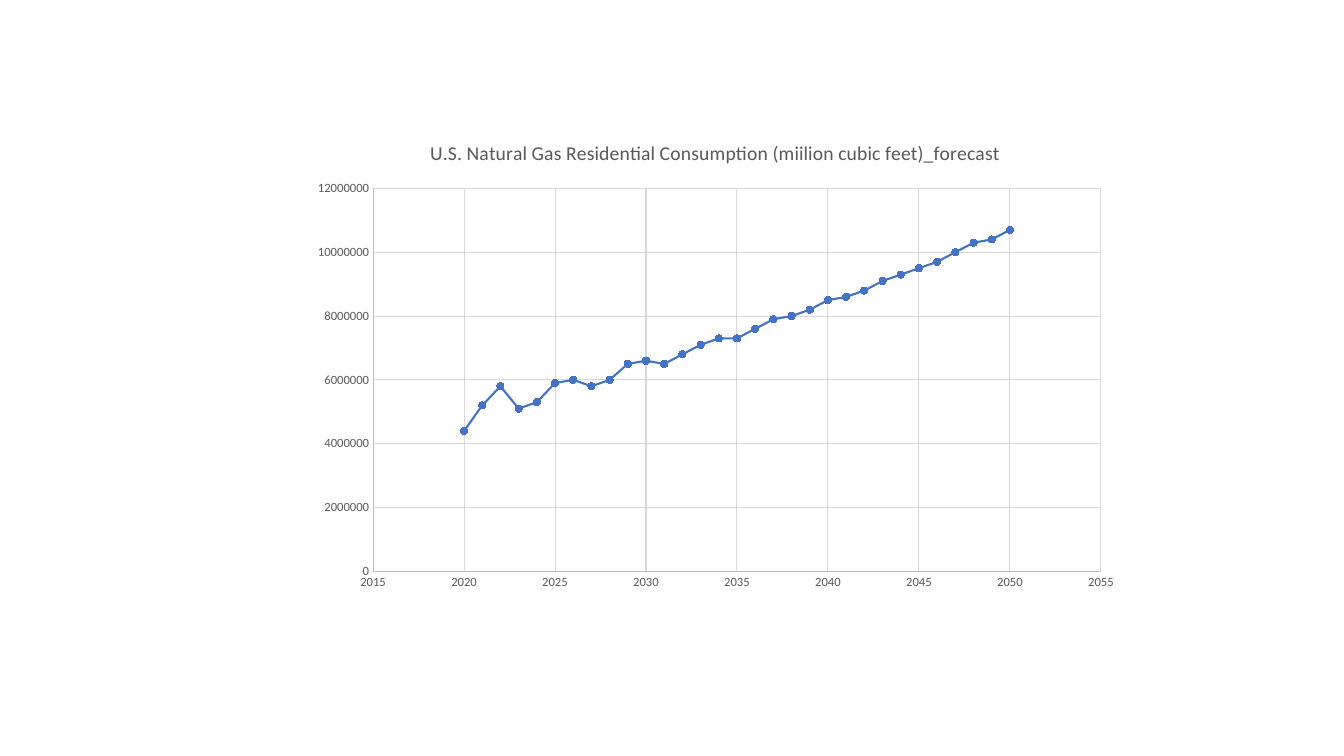
from lxml import etree
from pptx import Presentation
from pptx.chart.data import XyChartData
from pptx.dml.color import RGBColor as RGB
from pptx.enum.chart import XL_CHART_TYPE as Kind
from pptx.enum.chart import XL_MARKER_STYLE as Mark
from pptx.enum.chart import XL_TICK_MARK as Tick
from pptx.oxml.ns import qn
from pptx.util import Inches, Pt

HUES = {"text": "595959", "axis": "BFBFBF", "grid": "D9D9D9", "line": "4472C4"}
FONT = "Calibri"
TITLE = "U.S. Natural Gas Residential Consumption (miilion cubic feet)_forecast"
START = 2020
# Yearly consumption, in millions of the plotted unit
USE = [4.4, 5.2, 5.8, 5.1, 5.3, 5.9, 6.0, 5.8, 6.0, 6.5, 6.6,
       6.5, 6.8, 7.1, 7.3, 7.3, 7.6, 7.9, 8.0, 8.2, 8.5,
       8.6, 8.8, 9.1, 9.3, 9.5, 9.7, 10.0, 10.3, 10.4, 10.7]
# Inner plot area in inches, from the chart's top left corner
PLOT = {"x": 0.72, "y": 0.67, "w": 7.22, "h": 3.8}


def hue(name):
    return RGB.from_string(HUES[name])


def set_font(font, size):
    font.name = FONT
    font.size = Pt(size)
    font.bold = False
    font.color.rgb = hue("text")


def set_line(line, name, width):
    line.color.rgb = hue(name)
    line.width = Pt(width)


def set_axis(axis, low, high, step):
    axis.minimum_scale, axis.maximum_scale = low, high
    axis.major_unit = step
    axis.major_tick_mark = axis.minor_tick_mark = Tick.NONE
    axis.has_major_gridlines = True
    set_line(axis.major_gridlines.format.line, "grid", 0.75)
    set_line(axis.format.line, "axis", 0.75)
    labels = axis.tick_labels
    labels.number_format = "General"
    labels.number_format_is_linked = False
    set_font(labels.font, 9)


def set_plot(chart, width, height):
    """Fix the inner plot area as fractions of the chart's box."""
    area = chart._chartSpace.chart.plotArea
    for old in area.findall(qn("c:layout")):
        area.remove(old)
    layout = etree.Element(qn("c:layout"))
    area.insert(0, layout)
    manual = etree.SubElement(layout, qn("c:manualLayout"))
    parts = {"layoutTarget": "inner", "xMode": "edge", "yMode": "edge"}
    for key, size in PLOT.items():
        parts[key] = size / (width if key in "xw" else height)
    for tag, val in parts.items():
        etree.SubElement(manual, qn(f"c:{tag}")).set("val", str(val))


def add_trend(slide, left, top, width, height):
    data = XyChartData()
    series = data.add_series(TITLE)
    for year, use in enumerate(USE, START):
        series.add_data_point(year, round(use * 1_000_000))
    box = [Inches(n) for n in (left, top, width, height)]
    chart = slide.shapes.add_chart(Kind.XY_SCATTER_LINES, *box, data).chart
    chart.font.name = FONT
    chart.font.size = Pt(10)
    chart.has_legend = False

    chart.has_title = True
    chart.chart_title.include_in_layout = False
    run = chart.chart_title.text_frame.paragraphs[0].add_run()
    run.text = TITLE
    set_font(run.font, 14)

    set_axis(chart.category_axis, 2015, 2055, 5)
    set_axis(chart.value_axis, 0, 12_000_000, 2_000_000)
    set_plot(chart, width, height)

    plot = chart.plots[0]
    plot.vary_by_categories = False
    trend = plot.series[0]
    trend.smooth = False
    set_line(trend.format.line, "line", 1.5)
    trend.marker.style = Mark.CIRCLE
    trend.marker.size = 5
    trend.marker.format.fill.solid()
    trend.marker.format.fill.fore_color.rgb = hue("line")
    set_line(trend.marker.format.line, "line", 0.75)


def main():
    deck = Presentation()
    deck.slide_width, deck.slide_height = Inches(13.33), Inches(7.5)
    slide = deck.slides.add_slide(deck.slide_layouts[6])
    add_trend(slide, 2.98, 1.2, 8.23, 4.75)
    deck.save("out.pptx")


if __name__ == "__main__":
    main()
